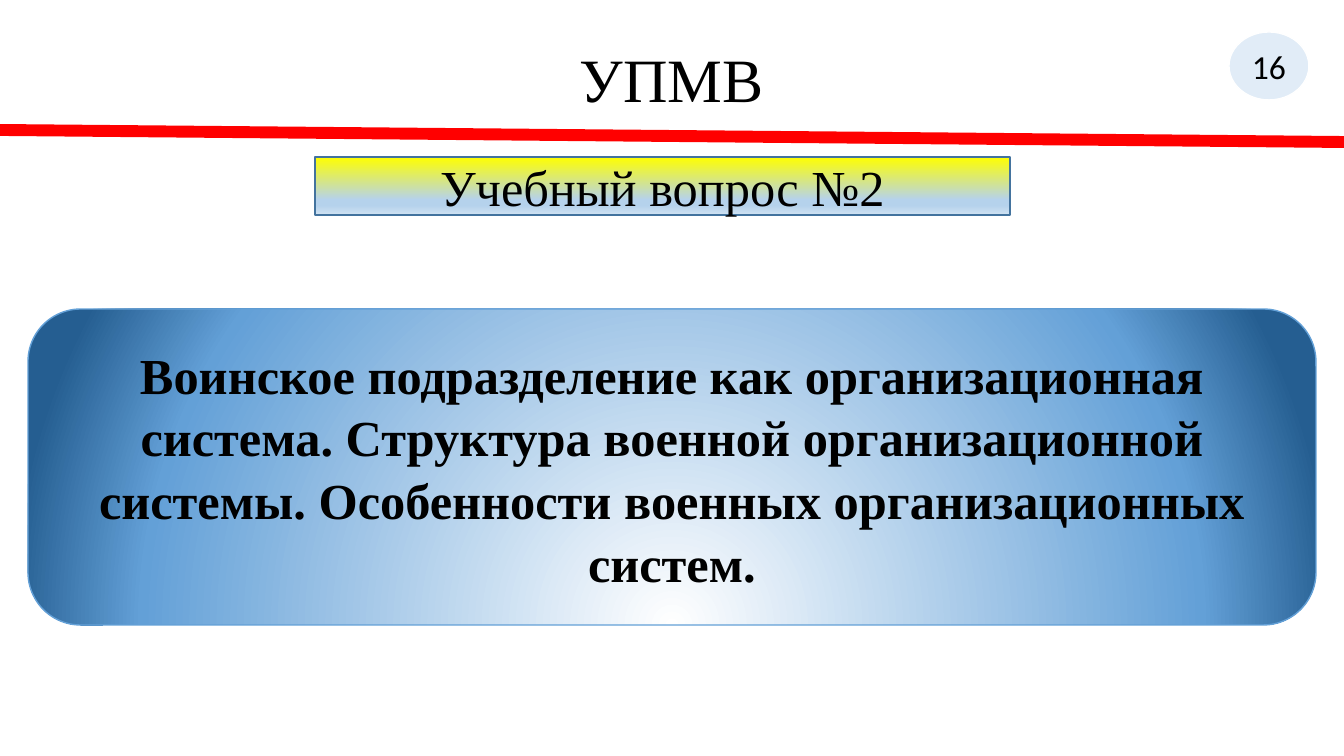
"""Build the slide that opens study question 2."""
from lxml import etree
from pptx import Presentation, util as u
from pptx.dml.color import RGBColor
from pptx.enum import shapes, text
from pptx.oxml.ns import qn

SERIF = "Times New Roman"
TITLE = ("УПМВ", 44, SERIF, False, 0.9)
PAGE = ("16", 24, "Calibri", False, 1)
HEAD = ("Учебный вопрос №2", 36, SERIF, False, 1)
TOPIC = ("Воинское подразделение как организационная система. "
         "Структура военной организационной системы. "
         "Особенности военных организационных систем.", 36, SERIF, True, 1.04)
BAND = [(0, "FFFF00"), (74, "B5D2EC"), (83, "B5D2EC"), (100, "CEE1F2")]
GLOW = [(0, "FFFFFF"), (80, "63A0D7"), (100, "255E91")]
FOCUS = {"l": 50, "t": 130, "r": 50, "b": -30}
SCALE = 914400 / 100.8
WIDE, HIGH = 1344, 756


def px(n):
    return u.Emu(round(n * SCALE))


def rgb(code):
    return RGBColor.from_string(code)


def node(base, tag, **vals):
    return etree.SubElement(base, qn("a:" + tag), {k: str(v) for k, v in vals.items()})


def write(box, item, anchor=text.MSO_ANCHOR.MIDDLE, wrap=True):
    words, size, face, bold, gap = item
    frame = box.text_frame
    frame.word_wrap = wrap
    frame.vertical_anchor = anchor
    para = frame.paragraphs[0]
    para.alignment = text.PP_ALIGN.CENTER
    para.line_spacing = gap
    run = para.add_run()
    run.text = words
    font = run.font
    font.size, font.name, font.bold = u.Pt(size), face, bold
    font.color.rgb = rgb("000000")


def draw(kind, area, edge):
    form = slide.shapes.add_shape(kind, *map(px, area))
    form.shadow.inherit = False
    form.line.color.rgb = rgb(edge)
    form.line.width = u.Pt(1)
    return form


def blend(form, stops, focus=None):
    form.fill.gradient()
    grad = form.element.spPr.find(qn("a:gradFill"))
    for part in list(grad):
        grad.remove(part)
    items = node(grad, "gsLst")
    for pos, code in stops:
        node(node(items, "gs", pos=pos * 1000), "srgbClr", val=code)
    if focus:
        way = node(grad, "path", path="circle")
        node(way, "fillToRect", **{k: v * 1000 for k, v in focus.items()})
    else:
        node(grad, "lin", ang=90 * 60000, scaled=0)


deck = Presentation()
deck.slide_width, deck.slide_height = px(WIDE), px(HIGH)
slide = deck.slides.add_slide(deck.slide_layouts[6])
kinds = shapes.MSO_SHAPE

title = slide.shapes.add_textbox(*map(px, (92, 40, 1160, 146)))
title.text_frame.margin_top = px(9)
write(title, TITLE, text.MSO_ANCHOR.TOP)

rule = slide.shapes.add_connector(shapes.MSO_CONNECTOR.STRAIGHT,
                                  *map(px, (0, 130, WIDE, 142)))
rule.line.color.rgb = rgb("FF0000")
rule.line.width = u.Pt(8.5)
node(rule.element.spPr, "effectLst")

badge = draw(kinds.OVAL, (1229, 32, 80, 68), "FFFFFF")
badge.fill.solid()
badge.fill.fore_color.rgb = rgb("5B9BD5")
tint = badge.element.spPr.find(qn("a:solidFill")).find(qn("a:srgbClr"))
node(tint, "alpha", val=18000)
write(badge, PAGE, wrap=False)

head = draw(kinds.RECTANGLE, (315, 157, 695, 58), "43739E")
blend(head, BAND)
write(head, HEAD)

topic = draw(kinds.ROUNDED_RECTANGLE, (28, 309, 1288, 316), "63A0D7")
blend(topic, GLOW, FOCUS)
write(topic, TOPIC)

deck.save("out.pptx")
